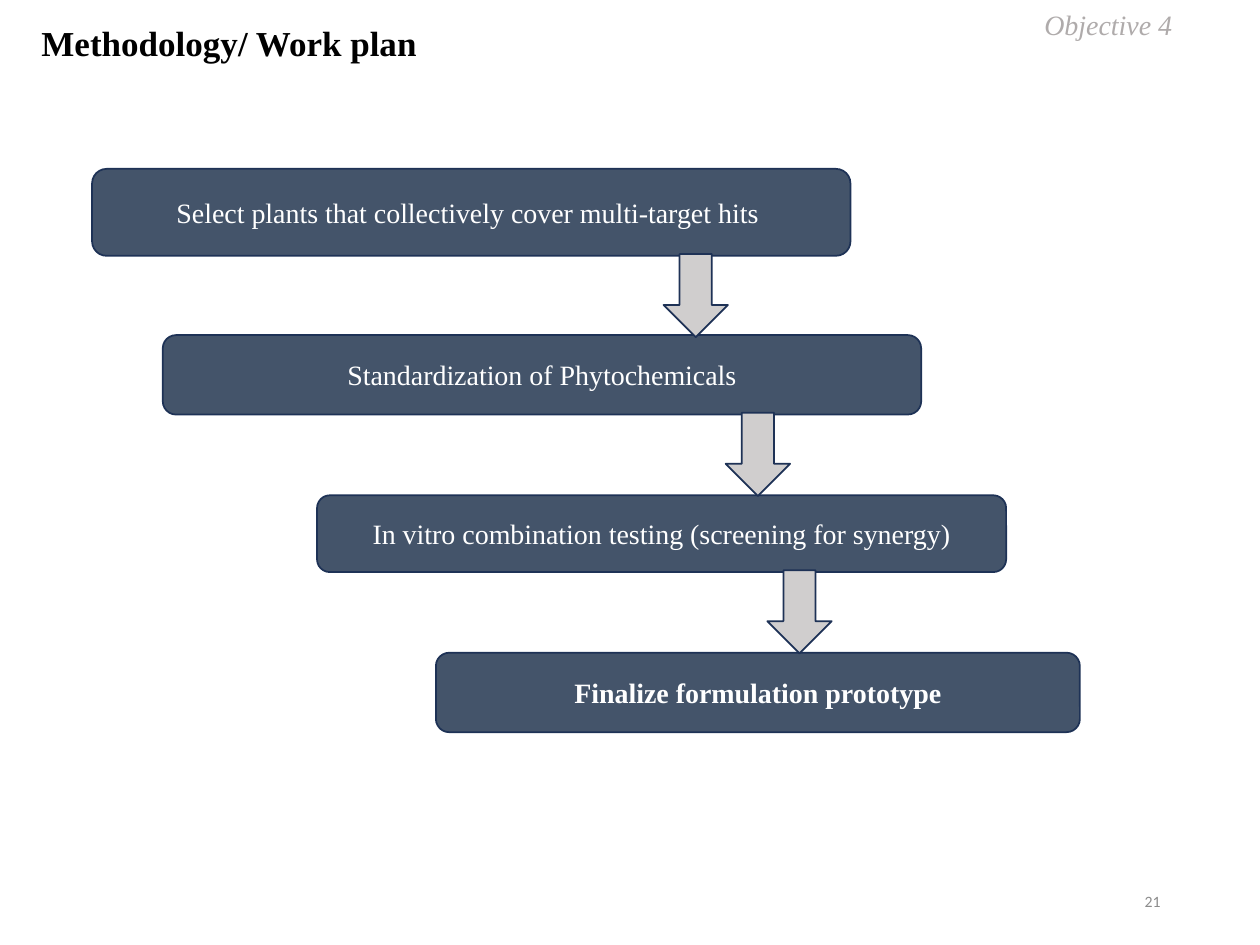
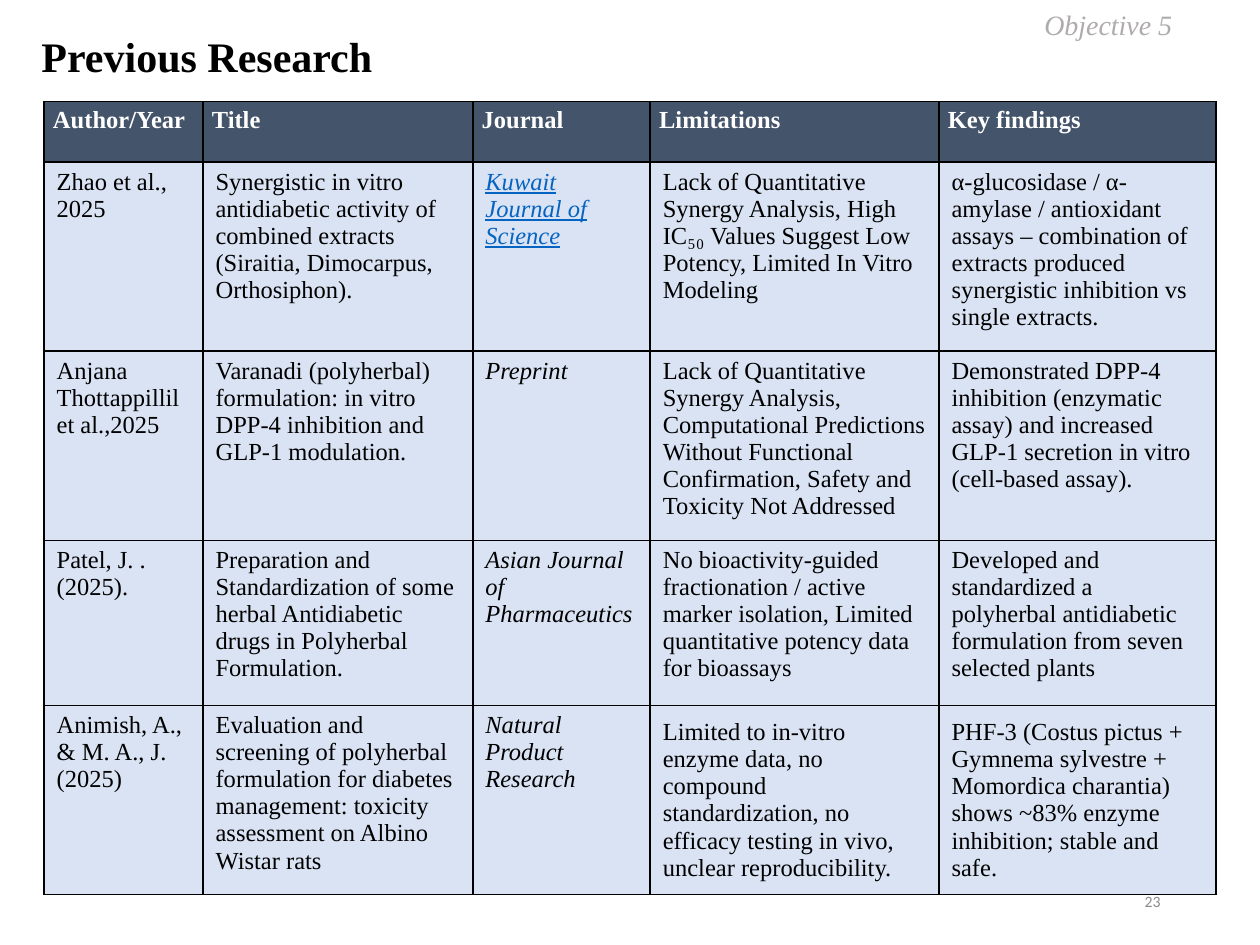
"""Build two slides: a stepped work plan and a table of previous research."""
from pptx import Presentation
from pptx.dml.color import RGBColor
from pptx.enum.shapes import MSO_SHAPE
from pptx.enum.text import MSO_ANCHOR, PP_ALIGN
from pptx.oxml import parse_xml
from pptx.oxml.ns import nsdecls
from pptx.util import Pt

ROUNDED, DOWN_ARROW = MSO_SHAPE.ROUNDED_RECTANGLE, MSO_SHAPE.DOWN_ARROW
TOP, MIDDLE = MSO_ANCHOR.TOP, MSO_ANCHOR.MIDDLE
LEFT, CENTER, RIGHT = PP_ALIGN.LEFT, PP_ALIGN.CENTER, PP_ALIGN.RIGHT

SERIF, SANS = "Times New Roman", "Calibri"
BLACK = RGBColor(0x00, 0x00, 0x00)
WHITE = RGBColor(0xFF, 0xFF, 0xFF)
SLATE = RGBColor(0x44, 0x54, 0x6A)
NAVY = RGBColor(0x1E, 0x32, 0x56)
SILVER = RGBColor(0xD0, 0xCE, 0xCE)
TAG_GREY = RGBColor(0xAF, 0xAB, 0xAB)
NUMBER_GREY = RGBColor(0x8C, 0x8C, 0x8C)
PALE_BLUE = RGBColor(0xDA, 0xE3, 0xF3)
LINK_BLUE = RGBColor(0x05, 0x63, 0xC1)


def write(frame, text, size, color, font=SERIF, bold=False, italic=False, align=LEFT):
    """Fill a text frame with one formatted paragraph and return its run."""
    frame.text = text
    paragraph = frame.paragraphs[0]
    paragraph.alignment = align
    run = paragraph.runs[0]
    run.font.name, run.font.size = font, Pt(size)
    run.font.bold, run.font.italic = bold, italic
    run.font.color.rgb = color
    return run


def add_shape(slide, preset, left, top, width, height, fill):
    """Add an outlined preset shape without shadow."""
    shape = slide.shapes.add_shape(preset, Pt(left), Pt(top), Pt(width), Pt(height))
    shape.shadow.inherit = False
    shape.fill.solid()
    shape.fill.fore_color.rgb = fill
    shape.line.color.rgb = NAVY
    shape.line.width = Pt(1)
    return shape


prs = Presentation()
prs.slide_width, prs.slide_height = Pt(720), Pt(540)
plan, research = [prs.slides.add_slide(prs.slide_layouts[6]) for _ in range(2)]

STEPS = [
    ("Select plants that collectively cover multi-target hits ", 52.6, 96.5, 433.4, 49.7),
    ("Standardization of Phytochemicals", 93, 191.5, 433.4, 45.4),
    ("In vitro combination testing (screening for synergy)", 181.2, 283, 393.8, 43.9),
    ("Finalize formulation prototype", 249.1, 373, 368, 45.4),
]
for step, left, top, width, height in STEPS:
    box = add_shape(plan, ROUNDED, left, top, width, height, SLATE)
    box.text_frame.word_wrap = True
    box.text_frame.vertical_anchor = MIDDLE
    write(box.text_frame, step, 16, WHITE, bold=step == STEPS[-1][0], align=CENTER)

for (_, _, top, _, height), arrow_left in zip(STEPS, [379.2, 414.7, 438.5]):
    add_shape(plan, DOWN_ARROW, arrow_left, top + height - 1, 36.8, 47.5, SILVER)

HEADERS = ["Author/Year", "Title", "Journal", "Limitations", "Key findings"]
STUDIES = [
    ["Zhao et al., 2025",
     "Synergistic in vitro antidiabetic activity of combined extracts "
     "(Siraitia, Dimocarpus, Orthosiphon).",
     "Kuwait Journal of Science",
     "Lack of Quantitative Synergy Analysis, High IC₅₀ Values Suggest Low Potency, "
     "Limited In Vitro Modeling",
     "α-glucosidase / α-amylase / antioxidant assays – combination of extracts "
     "produced synergistic inhibition vs single extracts."],
    ["Anjana Thottappillil et al.,2025",
     "Varanadi (polyherbal) formulation: in vitro DPP-4 inhibition and GLP-1 modulation.",
     "Preprint",
     "Lack of Quantitative Synergy Analysis, Computational Predictions Without "
     "Functional Confirmation, Safety and Toxicity Not Addressed",
     "Demonstrated DPP-4 inhibition (enzymatic assay) and increased GLP-1 secretion "
     "in vitro (cell-based assay)."],
    ["Patel, J. . (2025).",
     "Preparation and Standardization of some herbal Antidiabetic drugs in "
     "Polyherbal Formulation.",
     "Asian Journal of Pharmaceutics",
     "No bioactivity-guided fractionation / active marker isolation, Limited "
     "quantitative potency data for bioassays",
     "Developed and standardized a polyherbal antidiabetic formulation from seven "
     "selected plants"],
    ["Animish, A., & M. A., J. (2025)",
     "Evaluation and screening of polyherbal formulation for diabetes management: "
     "toxicity assessment on Albino Wistar rats",
     "Natural Product Research",
     "Limited to in-vitro enzyme data, no compound standardization, no efficacy "
     "testing in vivo, unclear reproducibility.",
     "PHF-3 (Costus pictus + Gymnema sylvestre + Momordica charantia) shows ~83% "
     "enzyme inhibition; stable and safe."],
]
COLUMN_WIDTHS = [90.8, 154.2, 101.4, 165, 158.4]
ROW_HEIGHTS = [34.6, 108, 108, 94.4, 108]

studies = research.shapes.add_table(
    len(ROW_HEIGHTS), len(COLUMN_WIDTHS), Pt(25.2), Pt(58),
    Pt(sum(COLUMN_WIDTHS)), Pt(sum(ROW_HEIGHTS))).table
studies.horz_banding = False
for column, width in zip(studies.columns, COLUMN_WIDTHS):
    column.width = Pt(width)
for row, height in zip(studies.rows, ROW_HEIGHTS):
    row.height = Pt(height)

for r, texts in enumerate([HEADERS] + STUDIES):
    is_header = r == 0
    for c, text in enumerate(texts):
        cell = studies.cell(r, c)
        is_journal = HEADERS[c] == "Journal" and not is_header
        is_link = is_journal and r == 1
        color = WHITE if is_header else LINK_BLUE if is_link else BLACK
        run = write(cell.text_frame, text, 14, color, bold=is_header, italic=is_journal)
        run.font.underline = is_link
        cell.vertical_anchor = MIDDLE if r == len(STUDIES) and c >= 3 else TOP
        if is_header:
            cell.margin_left = cell.margin_right = Pt(5.1)
            cell.margin_top = cell.margin_bottom = Pt(2.9)
        for side in ("lnL", "lnR", "lnT", "lnB"):
            cell._tc.get_or_add_tcPr().append(parse_xml(
                f'<a:{side} {nsdecls("a")} w="{Pt(1)}"><a:solidFill>'
                f'<a:srgbClr val="{BLACK}"/></a:solidFill></a:{side}>'))
        cell.fill.solid()
        cell.fill.fore_color.rgb = SLATE if is_header else PALE_BLUE

SLIDE_TEXTS = [
    (plan, "Methodology/ Work plan", 20, (16.6, 8.6, 230.4, 31.7), "Objective 4", "21"),
    (research, "Previous Research", 24, (16.6, 13.7, 205.2, 36), "Objective 5", "23"),
]
for slide, title, title_size, title_place, objective, number in SLIDE_TEXTS:
    heading = slide.shapes.add_textbox(*map(Pt, title_place)).text_frame
    heading.word_wrap = False
    write(heading, title, title_size, BLACK, bold=True)

    tag = slide.shapes.add_textbox(Pt(589.7), Pt(0.7), Pt(88.6), Pt(26.6)).text_frame
    tag.word_wrap = False
    write(tag, objective, 16, TAG_GREY, italic=True)

    footer = slide.shapes.add_textbox(Pt(508.3), Pt(500.4), Pt(162), Pt(28.8)).text_frame
    footer.word_wrap = True
    footer.vertical_anchor = MIDDLE
    write(footer, number, 9, NUMBER_GREY, font=SANS, align=RIGHT)

prs.save("out.pptx")
